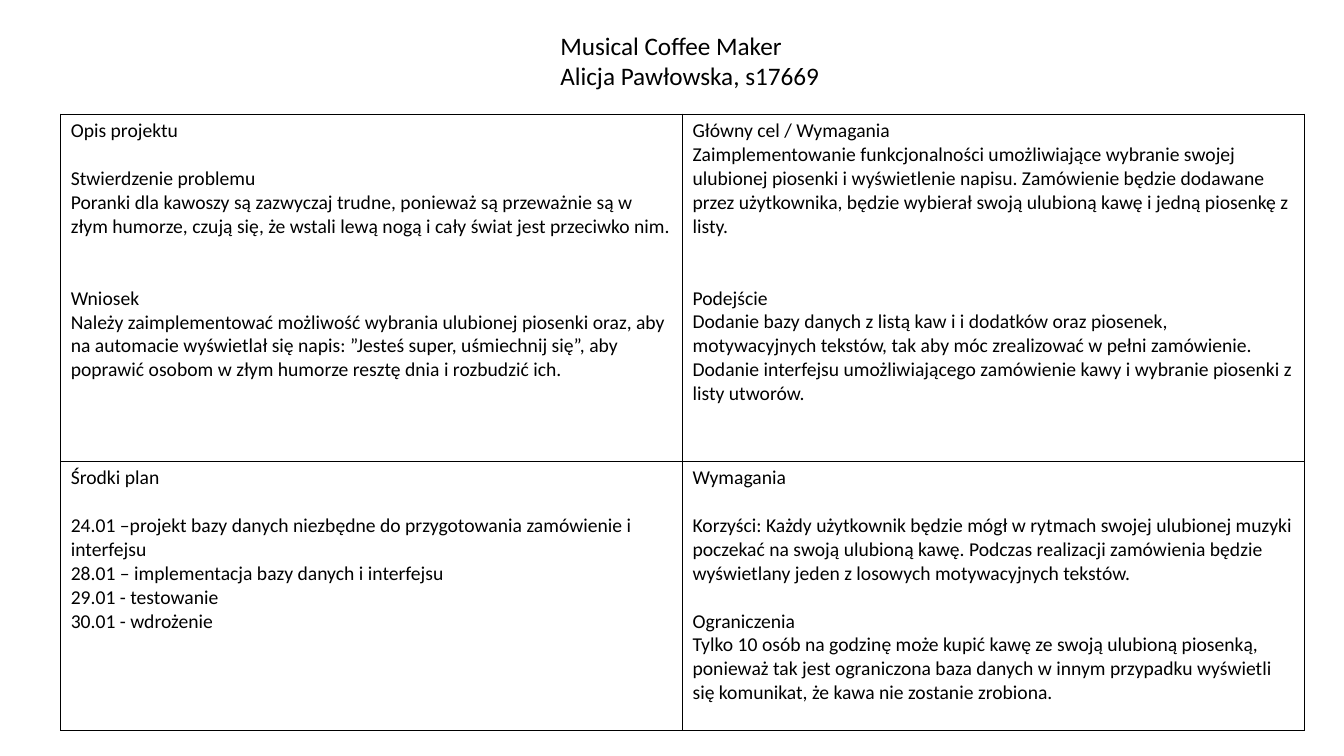
from lxml.etree import SubElement
from pptx import Presentation
from pptx.dml.color import RGBColor
from pptx.enum.text import MSO_AUTO_SIZE
from pptx.oxml.ns import qn
from pptx.util import Cm, Pt

TITLE = ["Musical Coffee Maker", "Alicja Pawłowska, s17669"]

# Each cell holds blocks: (empty lines of space above, paragraphs).
CANVAS = [
    [
        [
            (0, ["Opis projektu"]),
            (1, ["Stwierdzenie problemu",
                 "Poranki dla kawoszy są zazwyczaj trudne, ponieważ są przeważnie są w złym "
                 "humorze, czują się, że wstali lewą nogą i cały świat jest przeciwko nim."]),
            (2, ["Wniosek",
                 "Należy zaimplementować możliwość wybrania ulubionej piosenki oraz, aby na "
                 "automacie wyświetlał się napis: ”Jesteś super, uśmiechnij się”, aby poprawić "
                 "osobom w złym humorze resztę dnia i rozbudzić ich."]),
        ],
        [
            (0, ["Główny cel / Wymagania",
                 "Zaimplementowanie funkcjonalności umożliwiające wybranie swojej ulubionej "
                 "piosenki i wyświetlenie napisu. Zamówienie będzie dodawane przez użytkownika, "
                 "będzie wybierał swoją ulubioną kawę i jedną piosenkę z listy."]),
            (2, ["Podejście",
                 "Dodanie bazy danych z listą kaw i i dodatków oraz piosenek, motywacyjnych "
                 "tekstów, tak aby móc zrealizować w pełni zamówienie.",
                 "Dodanie interfejsu umożliwiającego zamówienie kawy i wybranie piosenki z "
                 "listy utworów."]),
        ],
    ],
    [
        [
            (0, ["Środki plan"]),
            (1, ["24.01 –projekt bazy danych niezbędne do przygotowania zamówienie i interfejsu",
                 "28.01 – implementacja bazy danych i interfejsu",
                 "29.01 - testowanie",
                 "30.01 - wdrożenie"]),
        ],
        [
            (0, ["Wymagania"]),
            (1, ["Korzyści: Każdy użytkownik będzie mógł w rytmach swojej ulubionej muzyki "
                 "poczekać na swoją ulubioną kawę. Podczas realizacji zamówienia będzie "
                 "wyświetlany jeden z losowych motywacyjnych tekstów."]),
            (1, ["Ograniczenia",
                 "Tylko 10 osób na godzinę może kupić kawę ze swoją ulubioną piosenką, ponieważ "
                 "tak jest ograniczona baza danych w innym przypadku wyświetli się komunikat, "
                 "że kawa nie zostanie zrobiona."]),
        ],
    ],
]

FONT = "Calibri"
BLACK = RGBColor(0, 0, 0)
TITLE_SIZE, BODY_SIZE = Pt(18), Pt(14)
BODY_LINE = 17.1  # height of one body line in points
COLUMN_WIDTH = Cm(15.67)
ROW_HEIGHTS = [Cm(8.74), Cm(6.78)]


def write(frame, blocks, size):
    frame.text = "\n".join(line for _, lines in blocks for line in lines)
    for para in frame.paragraphs:
        para.font.size = size
        for span in para.runs:
            span.font.name = FONT
            span.font.size = size
            span.font.color.rgb = BLACK
    first = 0
    for gap, lines in blocks:
        if gap:
            frame.paragraphs[first].space_before = Pt(gap * BODY_LINE)
        first += len(lines)


def outline(cell):
    """Draw a thin black border on all four sides of the cell."""
    properties = cell._tc.get_or_add_tcPr()
    for side in ("a:lnL", "a:lnR", "a:lnT", "a:lnB"):
        line = SubElement(properties, qn(side), w=str(Pt(1)))
        fill = SubElement(line, qn("a:solidFill"))
        SubElement(fill, qn("a:srgbClr"), val=str(BLACK))


deck = Presentation()
deck.slide_width, deck.slide_height = Cm(33.87), Cm(19.05)
page = deck.slides.add_slide(deck.slide_layouts[6])

table = page.shapes.add_table(
    len(CANVAS), len(CANVAS[0]), Cm(1.53), Cm(2.88),
    COLUMN_WIDTH * len(CANVAS[0]), sum(ROW_HEIGHTS)).table
table.first_row = table.horz_banding = False
for row, height, contents in zip(table.rows, ROW_HEIGHTS, CANVAS):
    row.height = height
    for cell, blocks in zip(row.cells, contents):
        outline(cell)
        cell.fill.background()
        write(cell.text_frame, blocks, BODY_SIZE)
for column in table.columns:
    column.width = COLUMN_WIDTH

box = page.shapes.add_textbox(Cm(13.87), Cm(0.64), Cm(7.75), Cm(1.8))
box.text_frame.word_wrap = True
box.text_frame.auto_size = MSO_AUTO_SIZE.SHAPE_TO_FIT_TEXT
write(box.text_frame, [(0, TITLE)], TITLE_SIZE)

deck.save("out.pptx")
